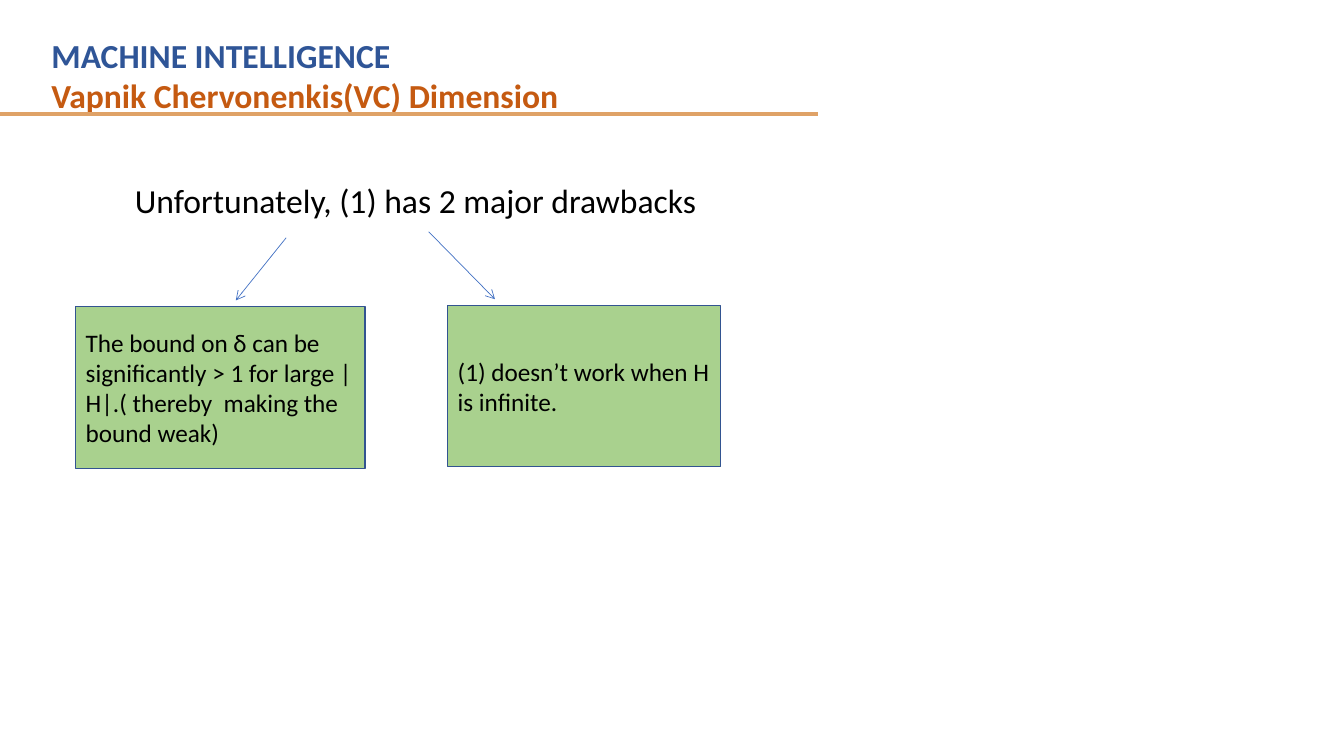
import pptx
import pptx.dml.color
import pptx.enum.shapes
import pptx.enum.text
import pptx.oxml
import pptx.util
from pptx.util import Cm

TITLE_LINES = [("MACHINE INTELLIGENCE", "2F5597"),
               ("Vapnik Chervonenkis(VC) Dimension", "C55A11")]
STATEMENT = "Unfortunately, (1) has 2 major drawbacks"

# Lengths in centimetres: box is left, top, width, height; arrow is x1, y1, x2, y2
DRAWBACKS = [
    {"text": "The bound on δ can be significantly > 1 for large |H|.( thereby  making the bound weak)",
     "box": (1.91, 7.72, 7.29, 4.09), "arrow": (7.21, 5.99, 5.94, 7.57)},
    {"text": "(1) doesn’t work when H is infinite.",
     "box": (11.28, 7.7, 6.88, 4.06), "arrow": (10.8, 5.84, 12.47, 7.54)},
]
TITLE_BOX = (1.04, 0.74, 23.14, 2.31)
TITLE_RULE = (0, 2.87, 20.6, 2.87)
STATEMENT_BOX = (3.15, 4.42, 14.78, 1.27)


def color(value):
    return pptx.dml.color.RGBColor.from_string(value)


def lengths(values):
    return [Cm(value) for value in values]


def write(shape, lines, size, bold=False, wrap=True, anchor="TOP"):
    """Fill a shape with one paragraph per (text, colour) pair."""
    frame = shape.text_frame
    frame.auto_size = pptx.enum.text.MSO_AUTO_SIZE.NONE
    frame.word_wrap = wrap
    frame.vertical_anchor = pptx.enum.text.MSO_ANCHOR[anchor]
    for index, (text, text_color) in enumerate(lines):
        paragraph = frame.add_paragraph() if index else frame.paragraphs[0]
        paragraph.alignment = pptx.enum.text.PP_ALIGN.LEFT
        paragraph.line_spacing = 1.0
        paragraph.space_before = pptx.util.Pt(0)
        run = paragraph.add_run()
        run.text = text
        run.font.name = "Calibri"
        run.font.size = pptx.util.Pt(size)
        run.font.bold = bold
        run.font.color.rgb = color(text_color)


def add_line(slide, ends, line_color, width, arrow=False):
    connector = slide.shapes.add_connector(
        pptx.enum.shapes.MSO_CONNECTOR.STRAIGHT, *lengths(ends))
    connector.line.color.rgb = color(line_color)
    connector.line.width = pptx.util.Pt(width)
    properties = connector.element.spPr
    if arrow:
        line = connector.line._get_or_add_ln()
        line.append(pptx.oxml.parse_xml(
            '<a:tailEnd xmlns:a="http://schemas.openxmlformats.org/drawingml/2006/main" type="arrow"/>'))
    properties.append(pptx.oxml.parse_xml(
        '<a:effectLst xmlns:a="http://schemas.openxmlformats.org/drawingml/2006/main"/>'))


def add_drawback(slide, drawback):
    add_line(slide, drawback["arrow"], "4472C4", 0.5, arrow=True)
    shape = slide.shapes.add_shape(
        pptx.enum.shapes.MSO_SHAPE.RECTANGLE, *lengths(drawback["box"]))
    shape.shadow.inherit = False
    shape.fill.solid()
    shape.fill.fore_color.rgb = color("A9D18E")
    shape.line.color.rgb = color("325491")
    shape.line.width = pptx.util.Pt(1)
    write(shape, [(drawback["text"], "000000")], 18, anchor="MIDDLE")


def main():
    presentation = pptx.Presentation()
    presentation.slide_width = pptx.util.Inches(13.33)
    presentation.slide_height = pptx.util.Inches(7.5)
    slide = presentation.slides.add_slide(presentation.slide_layouts[5])

    title = slide.shapes.title
    title.left, title.top, title.width, title.height = lengths(TITLE_BOX)
    write(title, TITLE_LINES, 24, bold=True)
    add_line(slide, TITLE_RULE, "DFA267", 3)

    statement = slide.shapes.add_textbox(*lengths(STATEMENT_BOX))
    write(statement, [(STATEMENT, "000000")], 24, wrap=False)
    for drawback in DRAWBACKS:
        add_drawback(slide, drawback)
    presentation.save("out.pptx")


if __name__ == "__main__":
    main()
